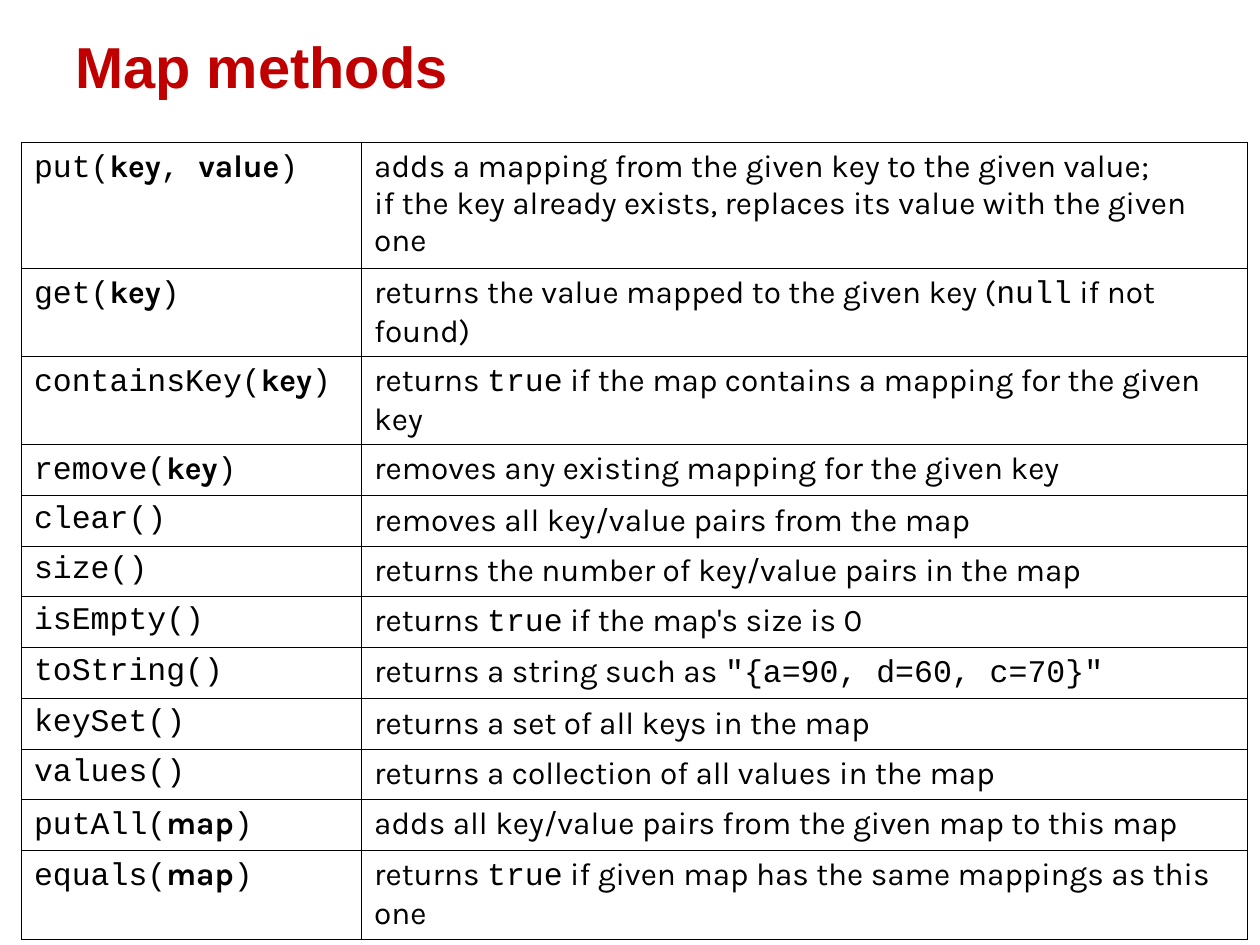
"""Build the slide that lists the methods of a map."""
from lxml.etree import SubElement
from pptx import Presentation
from pptx.dml.color import RGBColor
from pptx.enum.text import MSO_ANCHOR, PP_ALIGN
from pptx.oxml.ns import qn
from pptx.util import Inches, Pt

RED = RGBColor(0xC0, 0x00, 0x00)
BLACK = RGBColor(0x00, 0x00, 0x00)
CODE = ("Courier New", False)
PROSE = ("Karla", False)
PARAMETER = ("Karla", True)
COLUMN_STYLES = [(CODE, PARAMETER), (PROSE, CODE)]

TITLE = "Map methods"
METHODS = [
    ("put(|key|, |value|)",
     "adds a mapping from the given key to the given value;\n"
     "if the key already exists, replaces its value with the given one", 3),
    ("get(|key|)", "returns the value mapped to the given key (|null| if not found)", 2),
    ("containsKey(|key|)", "returns |true| if the map contains a mapping for the given key", 2),
    ("remove(|key|)", "removes any existing mapping for the given key", 1),
    ("clear()", "removes all key/value pairs from the map", 1),
    ("size()", "returns the number of key/value pairs in the map", 1),
    ("isEmpty()", "returns |true| if the map's size is 0", 1),
    ("toString()", 'returns a string such as |"{a=90, d=60, c=70}"', 1),
    ("keySet()", "returns a set of all keys in the map", 1),
    ("values()", "returns a collection of all values in the map", 1),
    ("putAll(|map|)", "adds all key/value pairs from the given map to this map", 1),
    ("equals(|map|)", "returns |true| if given map has the same mappings as this one", 2),
]
COLUMN_WIDTHS = [2.7, 7.03]
ROW_HEIGHTS = [0.1 + 0.3 * lines for *_, lines in METHODS]


def add_border(cell):
    properties = cell._tc.get_or_add_tcPr()
    for side in ("a:lnL", "a:lnR", "a:lnT", "a:lnB"):
        line = SubElement(properties, qn(side), w=str(Pt(0.45)))
        fill = SubElement(line, qn("a:solidFill"))
        SubElement(fill, qn("a:srgbClr"), val=str(BLACK))


def write_text(cell, text, styles):
    paragraph = cell.text_frame.paragraphs[0]
    paragraph.font.size = Pt(18)
    for index, part in enumerate(text.split("|")):
        for line_number, line in enumerate(part.split("\n")):
            if line_number:
                paragraph.add_line_break()
            run = paragraph.add_run()
            run.text = line
            run.font.name, run.font.bold = styles[index % 2]
            run.font.size = Pt(18)
            run.font.color.rgb = BLACK


def add_title(slide):
    title = slide.shapes.title
    title.left, title.top, title.width, title.height = map(Inches, (0.5, 0.17, 9, 0.77))
    title.text_frame.text = TITLE
    title.text_frame.vertical_anchor = MSO_ANCHOR.MIDDLE
    paragraph = title.text_frame.paragraphs[0]
    paragraph.alignment = PP_ALIGN.LEFT
    paragraph.line_spacing = 0.9
    font = paragraph.font
    font.name, font.size, font.bold = "Arial", Pt(33), True
    font.color.rgb = RED


def add_method_table(slide):
    table = slide.shapes.add_table(
        len(METHODS), len(COLUMN_WIDTHS), Inches(0.17), Inches(1.13),
        Inches(sum(COLUMN_WIDTHS)), Inches(sum(ROW_HEIGHTS))).table
    table.first_row = table.horz_banding = False
    for column, width in zip(table.columns, COLUMN_WIDTHS):
        column.width = Inches(width)
    for row, height, (*texts, _) in zip(table.rows, ROW_HEIGHTS, METHODS):
        row.height = Inches(height)
        for cell, text, styles in zip(row.cells, texts, COLUMN_STYLES):
            add_border(cell)
            cell.fill.background()
            write_text(cell, text, styles)


def main():
    presentation = Presentation()
    presentation.slide_width, presentation.slide_height = Inches(10), Inches(7.5)
    slide = presentation.slides.add_slide(presentation.slide_layouts[5])
    add_title(slide)
    add_method_table(slide)
    presentation.save("out.pptx")


if __name__ == "__main__":
    main()
